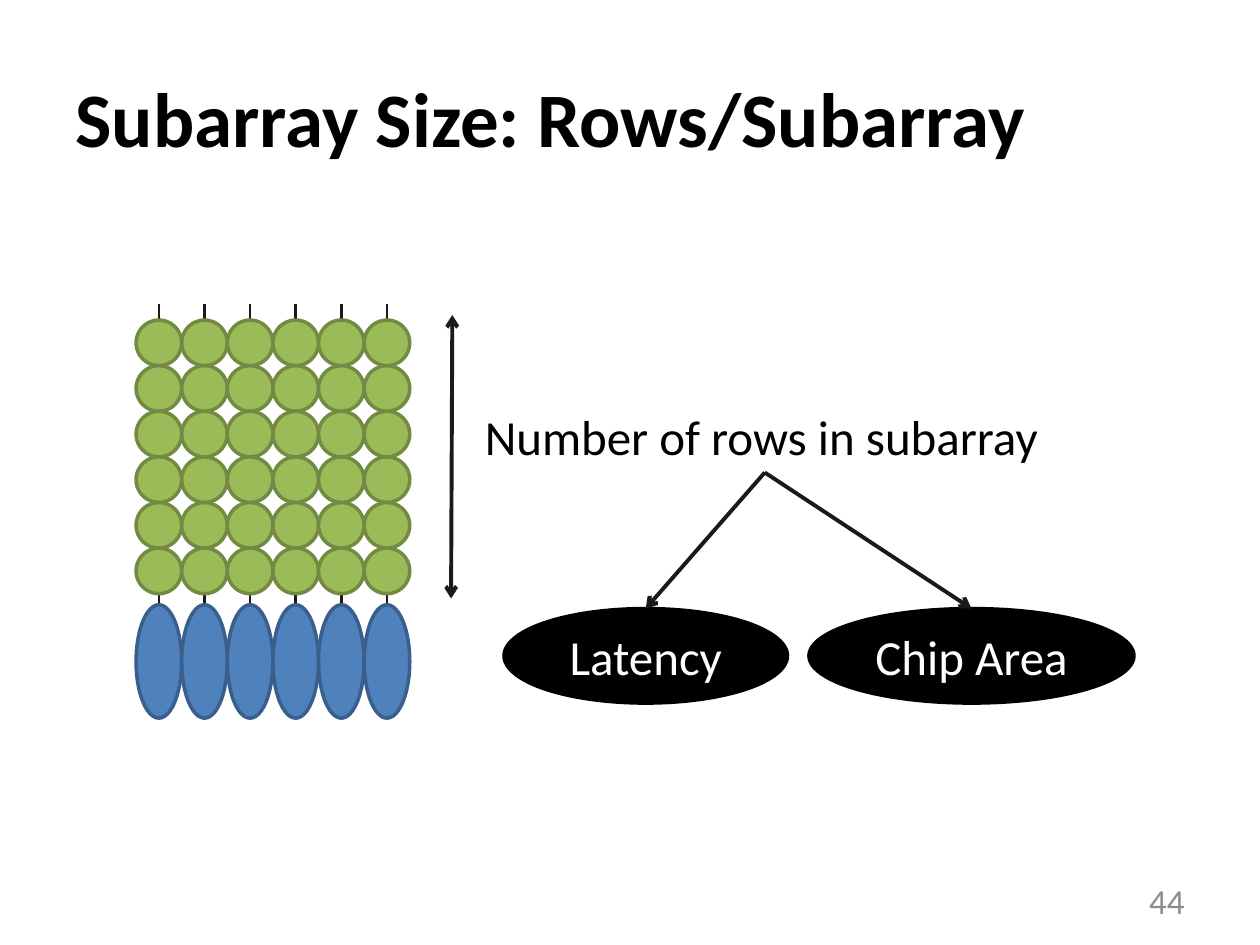
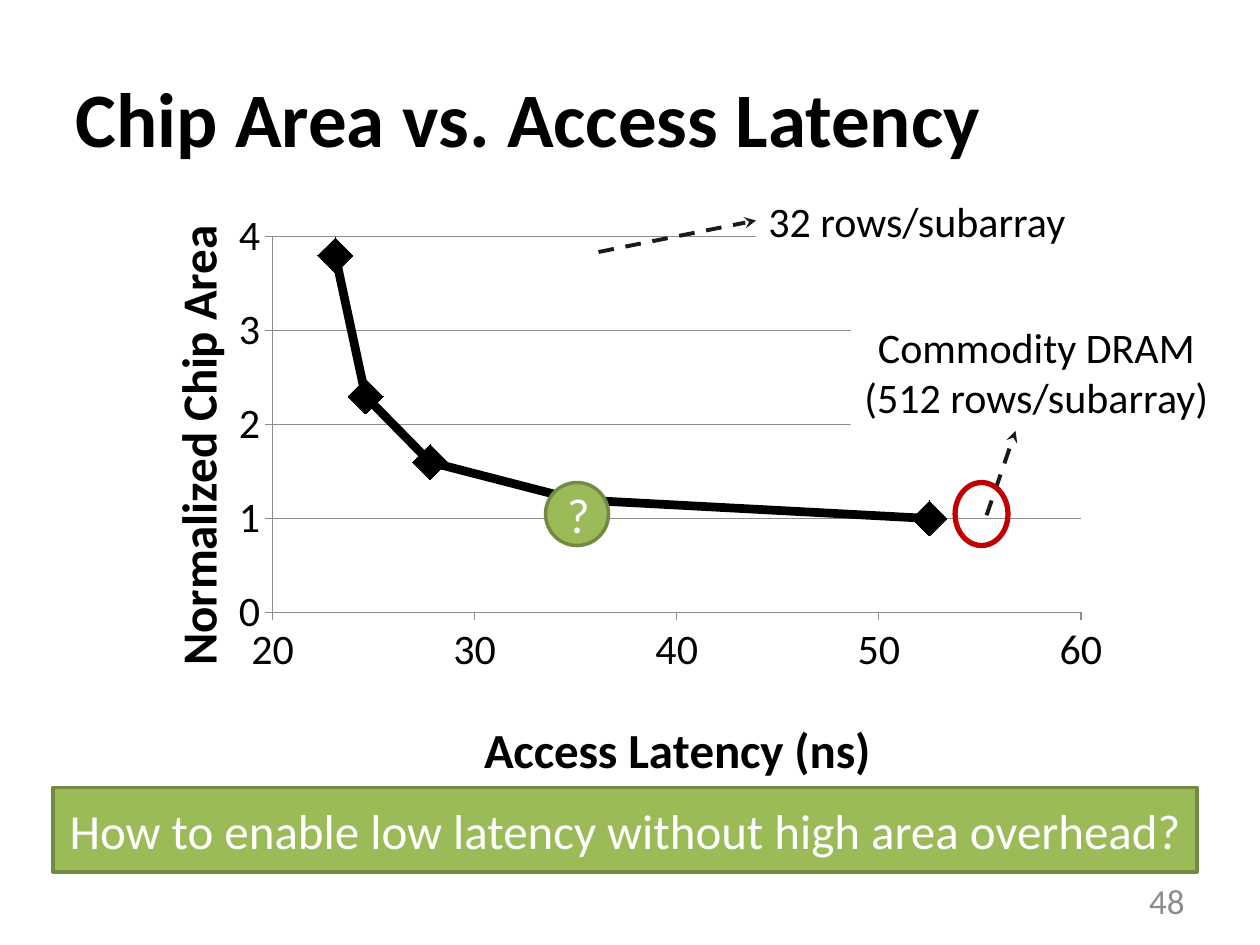
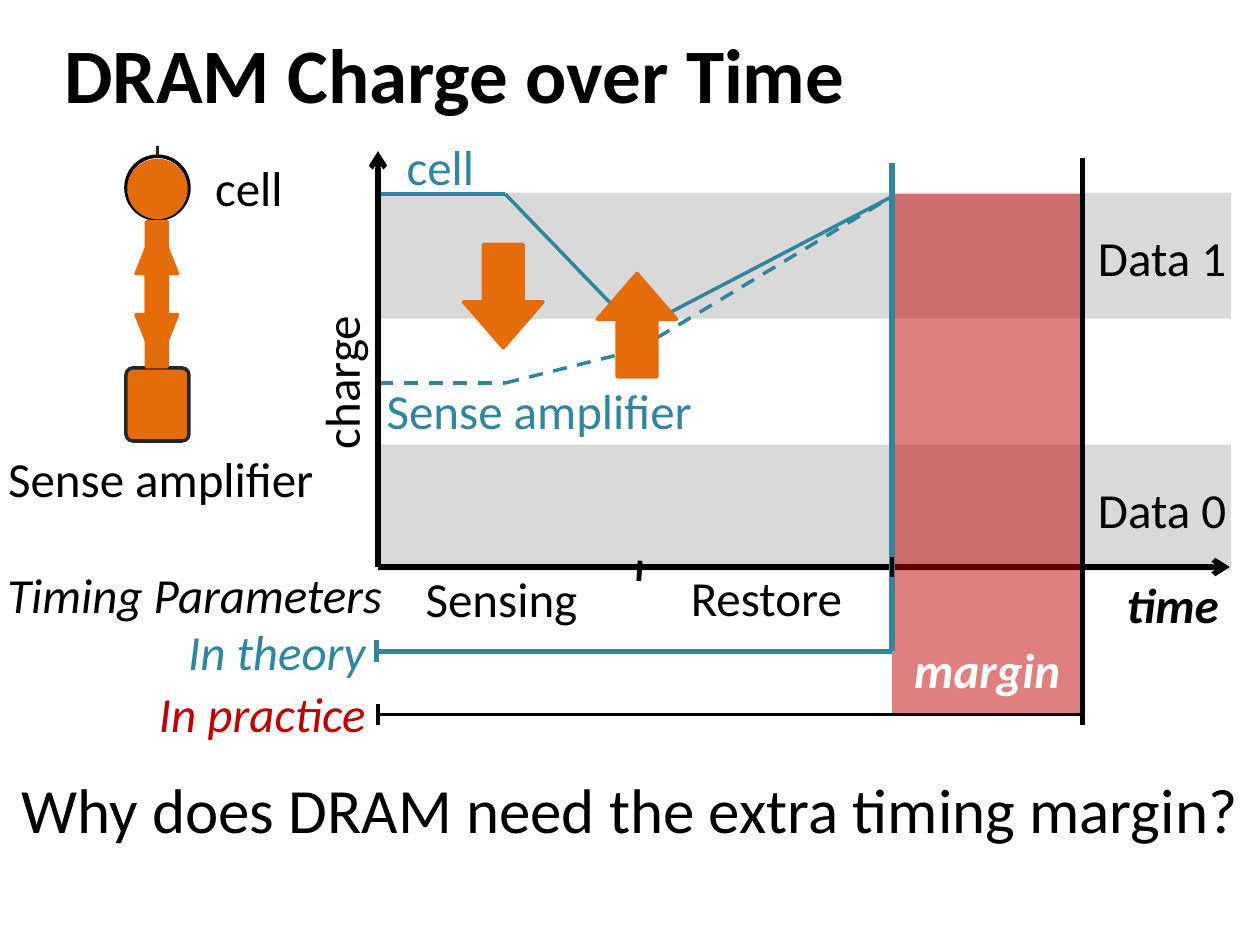
from dataclasses import dataclass
from typing import Optional

from lxml import etree
from pptx import Presentation
from pptx.chart import data as cd
from pptx.dml.color import RGBColor
from pptx.enum import chart as ch, dml, shapes, text
from pptx.oxml.ns import qn
from pptx.util import Inches, Pt

BLACK = RGBColor(0x00, 0x00, 0x00)
WHITE = RGBColor(0xFF, 0xFF, 0xFF)
INK = RGBColor(0x1A, 0x1A, 0x1A)
DARK = RGBColor(0x26, 0x26, 0x26)
GRAY = RGBColor(0x8C, 0x8C, 0x8C)
BAND = RGBColor(0xD9, 0xD9, 0xD9)
GREEN = RGBColor(0x9B, 0xBB, 0x59)
GREEN_EDGE = RGBColor(0x73, 0x8A, 0x42)
BLUE = RGBColor(0x4F, 0x81, 0xBD)
BLUE_EDGE = RGBColor(0x3A, 0x5F, 0x8C)
TEAL = RGBColor(0x31, 0x85, 0x9C)
ORANGE = RGBColor(0xE4, 0x6C, 0x0A)
RED = RGBColor(0xC0, 0x00, 0x00)

FONT = "Calibri"
LEFT, CENTER, RIGHT = text.PP_ALIGN.LEFT, text.PP_ALIGN.CENTER, text.PP_ALIGN.RIGHT
TOP, MIDDLE, BOTTOM = text.MSO_ANCHOR.TOP, text.MSO_ANCHOR.MIDDLE, text.MSO_ANCHOR.BOTTOM
OVAL = shapes.MSO_SHAPE.OVAL
RECT = shapes.MSO_SHAPE.RECTANGLE
ROUND = shapes.MSO_SHAPE.ROUNDED_RECTANGLE
DOWN = shapes.MSO_SHAPE.DOWN_ARROW


@dataclass
class Label:
    words: str
    size: float = 28
    color: RGBColor = BLACK
    bold: bool = False
    italic: bool = False
    align: text.PP_ALIGN = LEFT
    anchor: text.MSO_ANCHOR = MIDDLE
    wrap: bool = True


@dataclass
class Box:
    x: float
    y: float
    w: float
    h: float
    label: Optional[Label] = None
    geom: Optional[shapes.MSO_SHAPE] = None
    fill: Optional[RGBColor] = None
    line: Optional[RGBColor] = None
    width: float = 2
    rot: float = 0
    adj: tuple = ()
    alpha: int = 100


@dataclass
class Line:
    x1: float
    y1: float
    x2: float
    y2: float
    color: RGBColor = INK
    width: float = 2.25
    dash: bool = False
    head: str = ""
    tail: str = ""


def write(tf, label: Label) -> None:
    tf.word_wrap = label.wrap
    tf.vertical_anchor = label.anchor
    for i, words in enumerate(label.words.split("\n")):
        p = tf.paragraphs[0] if i == 0 else tf.add_paragraph()
        p.alignment = label.align
        r = p.add_run()
        r.text = words
        f = r.font
        f.name, f.size, f.bold, f.italic = FONT, Pt(label.size), label.bold, label.italic
        f.color.rgb = label.color


def draw_box(s, b: Box) -> None:
    place = [Inches(v) for v in (b.x, b.y, b.w, b.h)]
    if b.geom is None:
        sp = s.shapes.add_textbox(*place)
    else:
        sp = s.shapes.add_shape(b.geom, *place)
        sp.shadow.inherit = False
        for i, value in enumerate(b.adj):
            sp.adjustments[i] = value
        if b.fill is None:
            sp.fill.background()
        else:
            sp.fill.solid()
            sp.fill.fore_color.rgb = b.fill
        if b.line is None:
            sp.line.fill.background()
        else:
            sp.line.color.rgb = b.line
            sp.line.width = Pt(b.width)
        if b.alpha < 100:
            color = sp._element.spPr.find(qn("a:solidFill"))[0]
            etree.SubElement(color, qn("a:alpha"), val=str(b.alpha * 1000))
    sp.rotation = b.rot
    if b.label:
        write(sp.text_frame, b.label)


def draw_line(s, l: Line) -> None:
    ends = [Inches(v) for v in (l.x1, l.y1, l.x2, l.y2)]
    c = s.shapes.add_connector(shapes.MSO_CONNECTOR.STRAIGHT, *ends)
    c.line.color.rgb = l.color
    c.line.width = Pt(l.width)
    if l.dash:
        c.line.dash_style = dml.MSO_LINE.DASH
    ln = c.line._get_or_add_ln()
    for tag, kind in (("a:headEnd", l.head), ("a:tailEnd", l.tail)):
        if kind:
            etree.SubElement(ln, qn(tag), type=kind)
    etree.SubElement(c._element.spPr, qn("a:effectLst"))


def draw(s, *items) -> None:
    for item in items:
        if isinstance(item, Line):
            draw_line(s, item)
        else:
            draw_box(s, item)


def new_slide(prs, title: str, place=(0.5, 0.3, 9, 1.25), anchor=MIDDLE):
    s = prs.slides.add_slide(prs.slide_layouts[5])
    sp = s.shapes.title
    sp.left, sp.top, sp.width, sp.height = [Inches(v) for v in place]
    write(sp.text_frame, Label(title, 44, bold=True, anchor=anchor))
    return s


def page_number(number: int) -> Box:
    return Box(7.17, 6.95, 2.33, 0.4, Label(str(number), 20, GRAY, align=RIGHT))


def white_label(words: str) -> Label:
    return Label(words, color=WHITE, align=CENTER)


def set_layout(parent, index: int, **values) -> None:
    for old in parent.findall(qn("c:layout")):
        parent.remove(old)
    layout = etree.Element(qn("c:layout"))
    manual = etree.SubElement(layout, qn("c:manualLayout"))
    if "w" in values:
        etree.SubElement(manual, qn("c:layoutTarget"), val="inner")
    for mode in ("xMode", "yMode"):
        etree.SubElement(manual, qn("c:" + mode), val="edge")
    for key, value in values.items():
        etree.SubElement(manual, qn("c:" + key), val=str(value))
    parent.insert(index, layout)


def style_axis(axis, title: str, low: float, high: float, step: float, x: float, y: float) -> None:
    axis.minimum_scale, axis.maximum_scale, axis.major_unit = low, high, step
    axis.major_tick_mark = ch.XL_TICK_MARK.OUTSIDE
    axis.minor_tick_mark = ch.XL_TICK_MARK.NONE
    axis.format.line.color.rgb = GRAY
    axis.tick_labels.font.size = Pt(24)
    axis.tick_labels.number_format = "0"
    axis.tick_labels.number_format_is_linked = False
    write(axis.axis_title.text_frame, Label(title, bold=True, align=CENTER))
    set_layout(axis.axis_title._element, 1, x=x, y=y)


def draw_chart(s) -> None:
    data = cd.XyChartData()
    points = data.add_series("Series 1")
    for x, y in ((23.1, 3.8), (24.6, 2.3), (27.8, 1.6), (35, 1.2), (52.5, 1)):
        points.add_data_point(x, y)
    place = [Inches(v) for v in (1, 1.58, 7.92, 4.75)]
    chart = s.shapes.add_chart(ch.XL_CHART_TYPE.XY_SCATTER_SMOOTH, *place, data).chart
    chart.has_legend = chart.has_title = False
    chart.font.name, chart.font.size = FONT, Pt(10)
    chart.font.color.rgb = BLACK
    plot = chart.plots[0]
    plot.vary_by_categories = False
    set_layout(chart._chartSpace.chart.plotArea, 0, x=0.147, y=0.063, w=0.81, h=0.628)

    latency, area = chart.category_axis, chart.value_axis
    style_axis(latency, "Access Latency (ns)", 20, 60, 10, 0.35, 0.85)
    style_axis(area, "Normalized Chip Area", 0, 4, 1, 0.03, 0.03)
    body = area.axis_title.text_frame._txBody.bodyPr
    body.set("rot", "-5400000")
    body.set("vert", "horz")
    latency.has_major_gridlines = False
    area.has_major_gridlines = True
    area.major_gridlines.format.line.color.rgb = GRAY

    series = plot.series[0]
    series.smooth = True
    series.format.line.color.rgb = BLACK
    series.format.line.width = Pt(5)
    marker = series.marker
    marker.style, marker.size = ch.XL_MARKER_STYLE.DIAMOND, 20
    marker.format.fill.solid()
    marker.format.fill.fore_color.rgb = BLACK
    marker.format.line.color.rgb = BLACK


def subarray_slide(prs) -> None:
    s = new_slide(prs, "Subarray Size: Rows/Subarray")
    count, left, top, pitch = 6, 1.08, 2.54, 0.362
    for col in range(count):
        x = left + col * pitch
        draw(s, Line(x + pitch / 2, 2.41, x + pitch / 2, 4.8, INK, 1.5))
        for row in range(count):
            draw(s, Box(x, top + row * pitch, pitch, pitch, None, OVAL, GREEN, GREEN_EDGE))
        draw(s, Box(x, 4.8, pitch, 0.9, None, OVAL, BLUE, BLUE_EDGE))
    draw(
        s,
        page_number(44),
        Line(3.59, 2.5, 3.58, 4.75, head="arrow", tail="arrow"),
        Box(3.75, 3.18, 4.64, 0.57, Label("Number of rows in subarray", anchor=TOP, wrap=False)),
    )
    for words, x, w in (("Latency", 4, 2.25), ("Chip Area", 6.42, 2.58)):
        draw(
            s,
            Box(x, 4.83, w, 0.75, white_label(words), OVAL, BLACK, BLACK),
            Line(6.07, 3.75, x + w / 2, 4.83, tail="arrow"),
        )


def latency_slide(prs) -> None:
    s = new_slide(prs, "Chip Area vs. Access Latency")
    draw_chart(s)
    commodity = Label("Commodity DRAM\n(512 rows/subarray)", 24, align=CENTER, anchor=TOP, wrap=False)
    question = white_label("How to enable low latency without high area overhead?")
    question.wrap = False
    draw(
        s,
        Box(6.75, 2.5, 2.95, 0.91, commodity, RECT, WHITE),
        Line(7.83, 4.09, 8.06, 3.42, dash=True, tail="stealth"),
        Box(6, 1.5, 2.58, 0.5, Label("32 rows/subarray", 24, anchor=TOP, wrap=False), RECT, WHITE),
        Line(4.75, 2, 6, 1.75, dash=True, tail="stealth"),
        Box(4.33, 3.83, 0.5, 0.5, white_label("?"), OVAL, GREEN, GREEN_EDGE),
        Box(0.42, 6.25, 9.08, 0.67, question, RECT, GREEN, GREEN_EDGE),
        page_number(48),
        Box(7.58, 3.83, 0.42, 0.5, None, OVAL, None, RED, 3),
    )


def draw_charge_plot(s) -> None:
    for words, y in (("Data 0", 3.53), ("Data 1", 1.53)):
        draw(
            s,
            Box(3, y, 6.77, 1, None, RECT, BAND),
            Box(8.33, y + 0.01, 1.5, 1, Label(words, align=RIGHT)),
        )
    draw(
        s,
        Box(3.13, 1.08, 0.84, 0.47, Label("cell", color=TEAL)),
        Line(3, 4.5, 9.76, 4.5, BLACK, 3, tail="arrow"),
        Box(8.35, 4.54, 1.42, 0.5, Label("time", bold=True, italic=True, align=RIGHT)),
        Box(1.2, 2.79, 3, 0.49, Label("charge", align=CENTER), rot=270),
        Box(2.97, 3.02, 3.02, 0.47, Label("Sense amplifier", color=TEAL)),
    )
    cell_curve = ((3.01, 1.54), (4.01, 1.54), (5.05, 2.62), (7.08, 1.56))
    amplifier_curve = ((3.01, 3.04), (4.01, 3.04), (5.05, 2.78), (7.08, 1.56))
    for curve, dash in ((cell_curve, False), (amplifier_curve, True)):
        for start, end in zip(curve, curve[1:]):
            draw(s, Line(*start, *end, TEAL, 2, dash))
    for x, y, rot in ((3.68, 1.94, 0), (4.74, 2.17, 180)):
        draw(s, Box(x, y, 0.63, 0.82, None, DOWN, ORANGE, ORANGE, rot=rot, adj=(0.5, 0.577)))
    draw(s, Line(5.08, 4.45, 5.07, 4.61, BLACK, 2.75))


def draw_cell_model(s) -> None:
    draw(
        s,
        Box(1.01, 2.92, 0.48, 0.57, None, ROUND, ORANGE, adj=(0.11,)),
        Box(1, 1.24, 0.5, 0.5, None, OVAL, WHITE, BLACK),
        Line(1.25, 2.92, 1.25, 1.74, DARK, 2),
        Box(1, 2.92, 0.5, 0.58, None, ROUND, None, DARK, adj=(0.11,)),
        Box(1.01, 1.26, 0.48, 0.48, None, OVAL, ORANGE),
    )
    for rot in (0, 180):
        draw(s, Box(1.08, 1.76, 0.33, 1.15, None, DOWN, ORANGE, ORANGE, rot=rot, adj=(0.5, 1.25)))
    draw(
        s,
        Line(1.25, 1.16, 1.25, 1.24, DARK, 2),
        Box(1.44, 1.21, 1.07, 0.54, Label("cell", align=CENTER)),
        Box(-0.22, 3.52, 2.99, 0.54, Label("Sense amplifier", align=CENTER)),
    )


def draw_timing(s) -> None:
    margin = Label("margin", color=WHITE, bold=True, italic=True, align=CENTER)
    draw(
        s,
        Box(3.24, 4.54, 1.44, 0.41, Label("Sensing", align=RIGHT)),
        Box(5.34, 4.53, 1.44, 0.41, Label("Restore", align=RIGHT)),
        Box(-0.08, 4.5, 3.21, 0.42, Label("Timing Parameters", italic=True, align=RIGHT)),
        Box(1, 4.92, 2, 0.5, Label("In theory", color=TEAL, italic=True, align=RIGHT)),
        Box(1, 5.41, 2, 0.5, Label("In practice", color=RED, italic=True, align=RIGHT)),
        Box(7.08, 1.54, 1.5, 4.13, None, RECT, RED, alpha=50),
        Box(7.08, 5.04, 1.51, 0.54, margin),
        Line(2.99, 5.17, 7.08, 5.17, TEAL, 3),
        Line(2.99, 5.08, 2.99, 5.25, TEAL, 3),
        Line(7.08, 1.29, 7.08, 5.17, TEAL, 3),
        Line(3, 4.5, 3, 1.2, BLACK, 3, tail="arrow"),
        Line(7.08, 4.42, 7.08, 4.58, BLACK, 2.75),
        Line(3, 5.59, 3, 5.75, BLACK, 2.75),
        Line(8.59, 1.25, 8.59, 5.75, BLACK, 2.75),
        Line(3, 5.67, 8.58, 5.67, BLACK, 2),
    )


def charge_slide(prs) -> None:
    s = new_slide(prs, "DRAM Charge over Time", (0.41, 0.17, 9.17, 0.83), BOTTOM)
    s.shapes.title.text_frame.paragraphs[0].line_spacing = 0.9
    draw_charge_plot(s)
    draw_cell_model(s)
    draw_timing(s)
    question = Label("Why does DRAM need the extra timing margin?", 36, align=CENTER)
    draw(s, Box(0, 6, 10, 0.83, question))


def main() -> None:
    prs = Presentation()
    prs.slide_width, prs.slide_height = Inches(10), Inches(7.5)
    subarray_slide(prs)
    latency_slide(prs)
    charge_slide(prs)
    prs.save("out.pptx")


if __name__ == "__main__":
    main()
